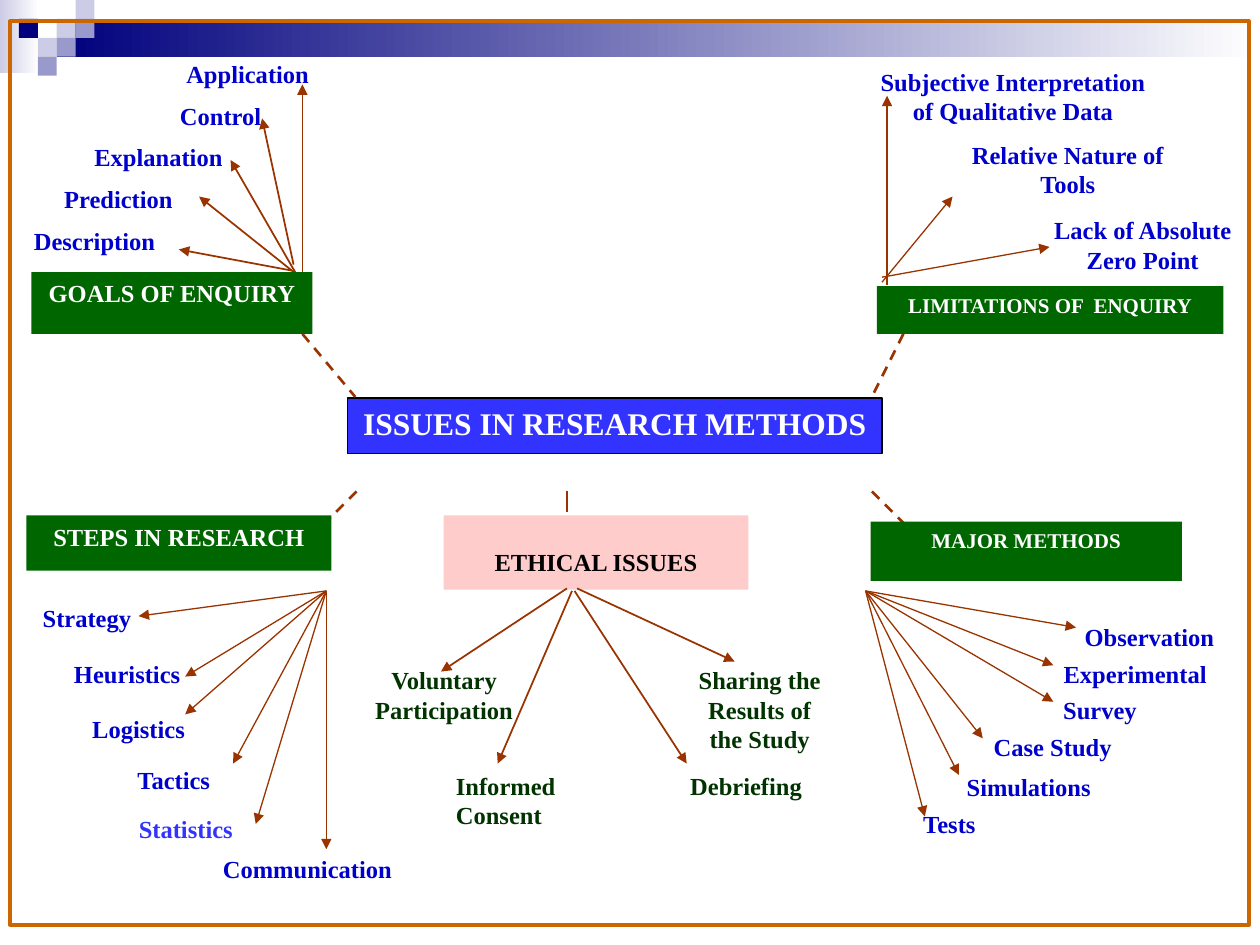
from pptx import Presentation
from pptx import util as u
from pptx.dml.color import RGBColor
from pptx.enum import dml, shapes, text
from pptx.oxml.ns import qn
from lxml import etree

FONT = "Times New Roman"
NAVY, PALE, MID = "00007D", "CCCCE6", "9999CC"
BLUE, BRIGHT, FOREST, GREEN = "0000CC", "3333FF", "003300", "006600"
WHITE, BLACK, BROWN, ORANGE, PINK = "FFFFFF", "000000", "993300", "CC6600", "FFCCCC"
LEFT, CENTER = text.PP_ALIGN.LEFT, text.PP_ALIGN.CENTER

# left, top, width, height, start colour
BANDS = [(0, 0, 0.31, 0.58, PALE), (0.45, 0.15, 9.55, 0.3, NAVY)]
# column, row, colour on a grid of small squares
TILE = 0.15
TILES = [(3, 1, PALE), (4, 0, PALE), (4, 1, MID), (2, 2, PALE),
         (1, 1, NAVY), (3, 2, MID), (2, 3, MID)]

# label, (left, top, width, height), alignment, colour
LABELS = [
    ("Subjective Interpretation of Qualitative Data", (6.83, 0.48, 2.42, 0.39), CENTER, BLUE),
    ("Relative Nature of Tools", (7.45, 1.06, 2.05, 0.39), CENTER, BLUE),
    ("Lack of Absolute Zero Point", (8.14, 1.66, 1.86, 0.39), CENTER, BLUE),
    ("Observation", (8.51, 4.89, 1.49, 0.2), LEFT, BLUE),
    ("Experimental", (8.17, 5.18, 1.68, 0.2), CENTER, BLUE),
    ("Survey", (8.17, 5.47, 1.12, 0.2), CENTER, BLUE),
    ("Case Study", (7.61, 5.76, 1.49, 0.2), CENTER, BLUE),
    ("Simulations", (7.33, 6.08, 1.67, 0.24), CENTER, BLUE),
    ("Tests", (6.42, 6.37, 2.23, 0.2), CENTER, BLUE),
    ("Strategy", (0.24, 4.74, 1.18, 0.27), LEFT, BLUE),
    ("Heuristics", (0.36, 5.18, 1.3, 0.29), CENTER, BLUE),
    ("Logistics", (0.54, 5.62, 1.12, 0.2), CENTER, BLUE),
    ("Tactics", (0.73, 6.02, 1.3, 0.2), CENTER, BLUE),
    ("Statistics", (0.73, 6.41, 1.49, 0.23), CENTER, BRIGHT),
    ("Communication", (1.67, 6.73, 1.68, 0.29), LEFT, BLUE),
    ("Voluntary Participation", (2.78, 5.23, 1.49, 0.39), CENTER, FOREST),
    ("Sharing the Results of the Study", (5.38, 5.23, 1.3, 0.53), CENTER, FOREST),
    ("Informed Consent", (3.52, 6.07, 1.1, 0.49), LEFT, FOREST),
    ("Debriefing", (5.38, 6.07, 1.2, 0.49), LEFT, FOREST),
]

# goal, indent
GOALS = [("Application", 1.21), ("Control", 1.16), ("Explanation", 0.48),
         ("Prediction", 0.24), ("Description", 0)]
GOALS_BOX = (0.17, 0.42, 2.89, 1.99)

# heading, box, fill, text colour, size, top inset, outline
CENTRE = ("ISSUES IN RESEARCH METHODS", (2.76, 3.16, 4.24, 0.44), BRIGHT, WHITE, 18, 0.05, BLACK)
ETHICS = ("ETHICAL ISSUES", (3.52, 4.09, 2.42, 0.59), PINK, BLACK, 14, 0.25, None)
TOPICS = [
    ("LIMITATIONS OF  ENQUIRY", (6.96, 2.27, 2.75, 0.38), GREEN, WHITE, 12, 0.05, None),
    ("MAJOR METHODS", (6.91, 4.14, 2.47, 0.47), GREEN, WHITE, 12, 0.05, None),
    ("GOALS OF ENQUIRY", (0.25, 2.16, 2.23, 0.49), GREEN, WHITE, 14, 0.05, None),
    ("STEPS IN RESEARCH", (0.21, 4.09, 2.42, 0.44), GREEN, WHITE, 14, 0.05, None),
]

# arrows sharing one start: start, tips
FANS = [
    ((2.59, 4.69), [(2.59, 6.74), (1.1, 4.89), (1.47, 5.37), (1.47, 5.67),
                    (1.85, 6.06), (2.03, 6.54)]),
    ((6.87, 4.69), [(7.34, 6.48), (8.54, 4.98), (8.36, 5.28), (8.36, 5.57),
                    (7.8, 5.86), (7.61, 6.15)]),
]
# start, tip, width
ARROWS = [
    ((7, 2.24), (7.56, 1.56), 0.75), ((7, 2.2), (8.33, 1.96), 0.75),
    ((7.04, 2.26), (7.04, 0.76), 1),
    ((2.4, 2.25), (2.4, 0.67), 1), ((2.33, 2.1), (2.08, 0.94), 1),
    ((2.36, 2.19), (1.83, 1.27), 1), ((2.42, 2.23), (1.58, 1.56), 1),
    ((2.33, 2.15), (1.42, 1.98), 1),
    ((4.54, 4.69), (3.95, 6.06), 1), ((4.56, 4.69), (5.45, 6.06), 1),
    ((4.5, 4.67), (3.5, 5.33), 1), ((4.58, 4.67), (5.83, 5.25), 1),
]
STEM = ((4.5, 3.9), (4.5, 4.06))
DASHES = [((2.4, 2.65), (2.82, 3.15)), ((7.17, 2.65), (6.92, 3.15)),
          ((6.92, 3.9), (7.17, 4.15)), ((2.83, 3.9), (2.58, 4.15))]


def rgb(value):
    return RGBColor.from_string(value)


def inches(values):
    return [u.Inches(v) for v in values]


def add_rect(s, box, fill=None, line=None, width=0.75):
    sp = s.shapes.add_shape(shapes.MSO_SHAPE.RECTANGLE, *inches(box))
    sp.shadow.inherit = False
    if fill:
        sp.fill.solid()
        sp.fill.fore_color.rgb = rgb(fill)
    else:
        sp.fill.background()
    if line:
        sp.line.color.rgb = rgb(line)
        sp.line.width = u.Pt(width)
    else:
        sp.line.fill.background()
    return sp


def add_band(s, box, start):
    """Rectangle fading from the start colour to white, left to right."""
    fill = add_rect(s, box, start).fill
    fill.gradient()
    fill.gradient_angle = 0
    for stop, position, color in zip(fill.gradient_stops, (0, 1), (start, WHITE)):
        stop.position = position
        stop.color.rgb = rgb(color)


def style(p, color, size=14, align=LEFT):
    p.alignment = align
    p.font.name, p.font.size, p.font.bold = FONT, u.Pt(size), True
    p.font.color.rgb = rgb(color)


def add_heading(s, label, box, fill, color, size, inset, line):
    tf = add_rect(s, box, fill, line).text_frame
    tf.word_wrap = True
    tf.vertical_anchor = text.MSO_ANCHOR.TOP
    tf.margin_top = u.Inches(inset)
    tf.text = label
    style(tf.paragraphs[0], color, size, CENTER)


def add_text(s, box, lines, color, align=LEFT):
    tf = s.shapes.add_textbox(*inches(box)).text_frame
    tf.word_wrap = True
    tf.text = "\n".join(lines)
    for p in tf.paragraphs:
        style(p, color, align=align)
    return tf.paragraphs


def add_line(s, start, end, width, arrow=False, dash=False):
    c = s.shapes.add_connector(shapes.MSO_CONNECTOR.STRAIGHT, *inches(start + end))
    c.line.color.rgb = rgb(BROWN)
    c.line.width = u.Pt(width)
    if dash:
        c.line.dash_style = dml.MSO_LINE.DASH
    if arrow:
        etree.SubElement(c.line._get_or_add_ln(), qn("a:tailEnd"), type="triangle")
    etree.SubElement(c._element.spPr, qn("a:effectLst"))


def main():
    prs = Presentation()
    prs.slide_width, prs.slide_height = inches((10, 7.5))
    s = prs.slides.add_slide(prs.slide_layouts[6])

    for *box, start in BANDS:
        add_band(s, box, start)
    for col, row, color in TILES:
        add_rect(s, (col * TILE, row * TILE, TILE, TILE), color)

    add_heading(s, *CENTRE)
    add_heading(s, *ETHICS)
    for label, box, align, color in LABELS:
        add_text(s, box, [label], color, align)
    goals = add_text(s, GOALS_BOX, [goal for goal, _ in GOALS], BLUE)
    for p, (_, indent) in zip(goals, GOALS):
        p.space_before = p.space_after = u.Pt(3.5)
        p._p.get_or_add_pPr().set("marL", str(u.Inches(indent)))

    for start, tips in FANS:
        for tip in tips:
            add_line(s, start, tip, 0.75, arrow=True)
    for start, tip, width in ARROWS:
        add_line(s, start, tip, width, arrow=True)
    add_line(s, *STEM, 1.5)
    for start, end in DASHES:
        add_line(s, start, end, 1.5, dash=True)

    for topic in TOPICS:
        add_heading(s, *topic)
    add_rect(s, (0.08, 0.17, 9.83, 7.17), line=ORANGE, width=2.25)
    prs.save("out.pptx")


if __name__ == "__main__":
    main()
